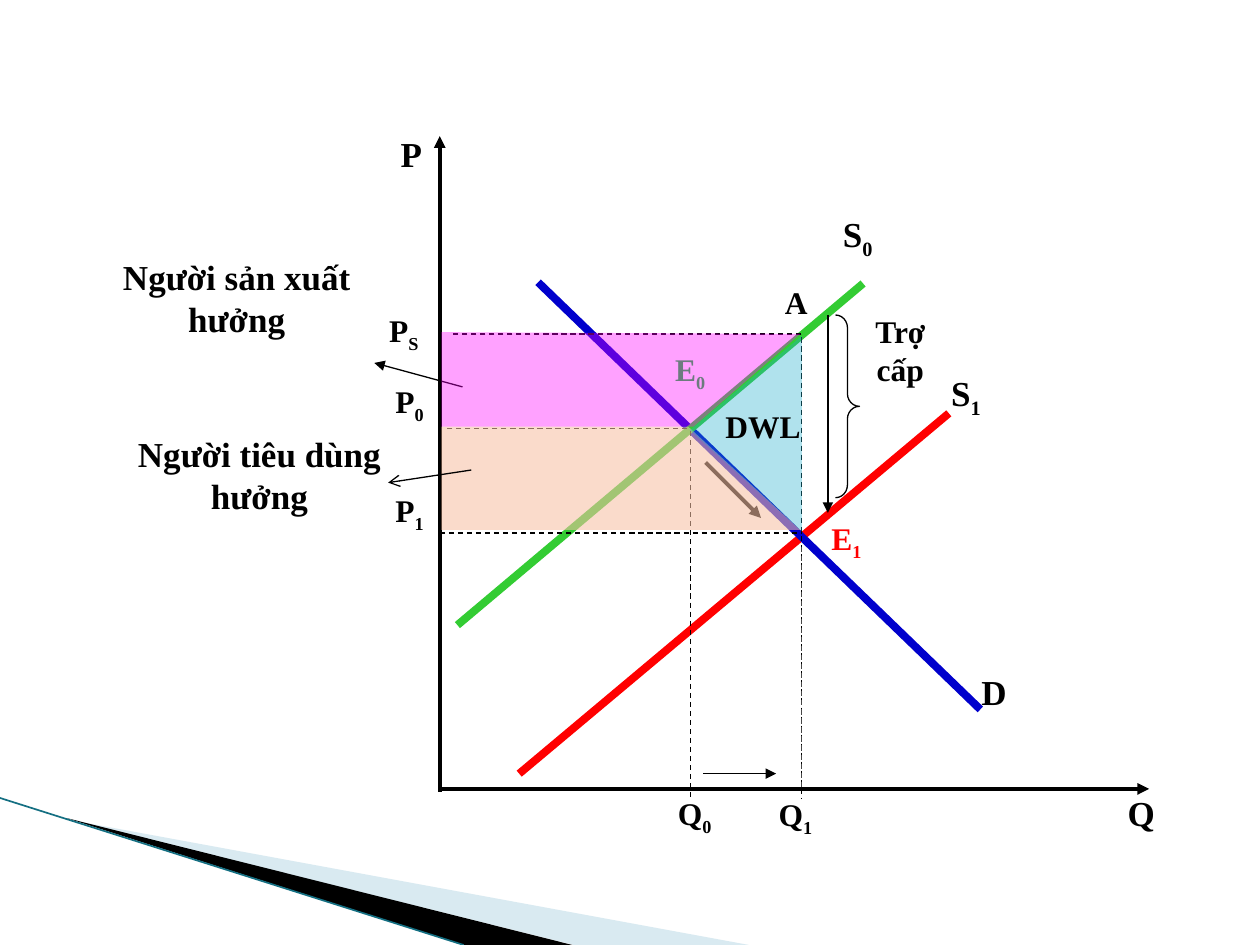
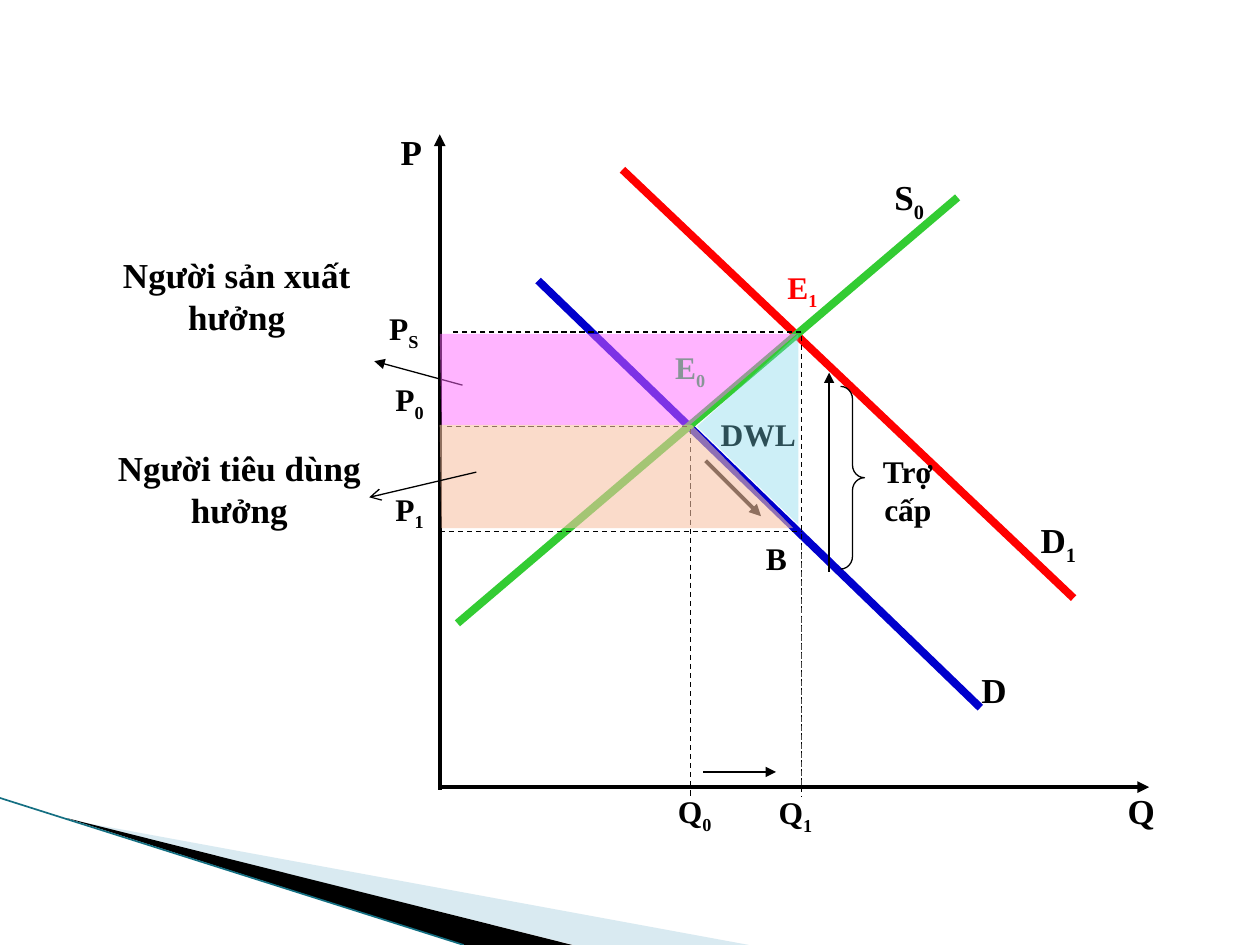
from dataclasses import dataclass

from lxml.etree import SubElement
from pptx import Presentation
from pptx.dml.color import RGBColor
from pptx.enum.dml import MSO_LINE_DASH_STYLE as Dash
from pptx.enum.shapes import MSO_CONNECTOR_TYPE as Connector, MSO_SHAPE as Shape
from pptx.enum.text import PP_ALIGN as Align
from pptx.oxml.ns import qn
from pptx.util import Pt

FONT = "Times New Roman"
BLACK = RGBColor(0, 0, 0)
GREY = RGBColor(0x46, 0x46, 0x46)
RED = RGBColor(0xFF, 0, 0)
BLUE = RGBColor(0, 0, 0xCC)
GREEN = RGBColor(0x33, 0xCC, 0x33)
LABEL_GREEN = RGBColor(0x17, 0xC3, 0x34)
MAGENTA = RGBColor(0xFF, 0, 0xFF)
PINK = RGBColor(0xFF, 0x66, 0xFF)
PEACH = RGBColor(0xF7, 0xC1, 0xA4)
CYAN = RGBColor(0x1F, 0xAE, 0xCD)
PALE_CYAN = RGBColor(0x78, 0xD6, 0xEA)
BAND_BLUE = RGBColor(0xA0, 0xCB, 0xDC)
BAND_TEAL = RGBColor(0x14, 0x6F, 0x82)

# Diagram measures, from the top of the price axis
AXIS_BOTTOM, AXIS_RIGHT = 373, 405.4
Q0, Q1 = 143.3, 206.6
PS, P0, P1 = 113, 167, 226.8


@dataclass
class Region:
    points: list
    color: RGBColor
    opacity: int


@dataclass
class Case:
    """What differs between subsidising producers and consumers."""
    top: float
    shifted_curve: tuple
    shifted_label: tuple
    new_balance: tuple
    old_supply_end: tuple
    old_supply_label: tuple
    corner_label: tuple
    subsidy_arrow: tuple
    brace: tuple
    subsidy_label: tuple
    subsidy_width: float
    consumer_label: tuple
    consumer_arrow: tuple
    loss_label: tuple
    loss_on_top: bool
    regions: list


PRODUCER_SUBSIDY = Case(
    top=77.8,
    shifted_curve=((290.9, 158.4), (45.4, 364.3)),
    shifted_label=("S", "1", 285.1, 131),
    new_balance=(216.7, 215.3),
    old_supply_end=(241.9, 84.2),
    old_supply_label=(223.2, 40.3),
    corner_label=("A", "", 190.1, 80.6),
    subsidy_arrow=((221.8, 102.2), (221.8, 215.3)),
    brace=(226.1, 102.2),
    subsidy_label=(229.7, 97.2),
    subsidy_width=67,
    consumer_label=(-191.5, 165.6),
    consumer_arrow=((18, 190.8), (-29.5, 198)),
    loss_label=(156.2, 151.2),
    loss_on_top=True,
    regions=[
        Region([(1, 166), (1, 225), (206, 225), (142, 166)], PEACH, 57),
        Region([(1, 112), (1, 166), (145, 166), (206, 113)], MAGENTA, 37),
        Region([(143, 168), (207, 226), (207, 114)], CYAN, 35),
    ],
)

CONSUMER_SUBSIDY = Case(
    top=76.8,
    shifted_curve=((362.2, 265), (104.4, 20.2)),
    shifted_label=("D", "1", 336.2, 216),
    new_balance=(191.5, 72.7),
    old_supply_end=(295.9, 36),
    old_supply_label=(252.7, 20.2),
    corner_label=("B", "", 179.3, 227.5),
    subsidy_arrow=((222.5, 249.8), (222.5, 136.1)),
    brace=(229, 144),
    subsidy_label=(240.5, 177.8),
    subsidy_width=54,
    consumer_label=(-203, 175),
    consumer_arrow=((20.9, 193), (-40.3, 207.4)),
    loss_label=(153.4, 157),
    loss_on_top=False,
    regions=[
        Region([(0, 114), (1, 166), (143, 166), (204, 114)], PINK, 49),
        Region([(0, 166), (1, 225), (202, 225), (144, 166)], PEACH, 58),
        Region([(147, 167), (205, 223), (205, 114)], PALE_CYAN, 37),
    ],
)


class Box:
    """An area of a slide that places its parts from its own top left corner."""

    def __init__(self, page, left, top):
        self.shapes = page.shapes
        self.left, self.top = left, top

    def at(self, x, y):
        return Pt(self.left + x), Pt(self.top + y)

    def line(self, start, end, color=BLACK, width=0.75, dashed=False, arrow=None):
        line = self.shapes.add_connector(Connector.STRAIGHT, *self.at(*start), *self.at(*end))
        line.line.color.rgb = color
        line.line.width = Pt(width)
        if dashed:
            line.line.dash_style = Dash.DASH
        properties = line._element.spPr
        if arrow:
            SubElement(properties.find(qn("a:ln")), qn("a:tailEnd"), type=arrow)
        SubElement(properties, qn("a:effectLst"))

    def area(self, points, color, opacity=100):
        first, *rest = [self.at(*point) for point in points]
        builder = self.shapes.build_freeform(*first, scale=1.0)
        builder.add_line_segments(rest, close=True)
        area = builder.convert_to_shape()
        area.shadow.inherit = False
        area.fill.solid()
        area.fill.fore_color.rgb = color
        area.line.fill.background()
        if opacity < 100:
            tint = area._element.spPr.find(".//" + qn("a:srgbClr"))
            SubElement(tint, qn("a:alpha"), val=str(opacity * 1000))

    def label(self, text, subscript, x, y, size=18, color=BLACK, width=48, align=Align.LEFT):
        frame = self.shapes.add_textbox(*self.at(x, y), Pt(width), Pt(45)).text_frame
        frame.word_wrap = True
        para = frame.paragraphs[0]
        para.text = text
        para.alignment = align
        if subscript:
            span = para.add_run()
            span.text = subscript
            span.font._element.set("baseline", "-25000")
        for span in para.runs:
            span.font.name = FONT
            span.font.size = Pt(size)
            span.font.bold = True
            span.font.color.rgb = color


def draw_corner_band(page):
    band = Box(page, 0, 456)
    band.area([(39.6, 12.5), (428, 84), (328, 84)], BAND_BLUE, 40)
    band.area([(38, 11.5), (327, 84), (265, 84)], BLACK)
    band.line((0, 0), (265, 84), BAND_TEAL, 0.95)


def draw_axes(box):
    box.line((0, AXIS_BOTTOM), (AXIS_RIGHT, AXIS_BOTTOM), width=2.25, arrow="triangle")
    box.line((0, AXIS_BOTTOM + 1.5), (0, 0), width=2.25, arrow="triangle")
    box.label("P", "", -29.5, -5.8, 20)
    box.label("Q", "", 385.9, 370.8, 20)
    for name, subscript, x, y in (
        ("P", "S", -36, 96.5),
        ("P", "0", -32.4, 136.8),
        ("P", "1", -32.4, 199.4),
        ("Q", "0", 128.9, 372.2),
        ("Q", "1", 186.5, 373),
    ):
        box.label(name, subscript, x, y)


def draw_guides(box):
    for start, end in (
        ((Q0 - 2, P0), (3, P0)),
        ((Q0, P0 + 1.5), (Q0, 378.7)),
        ((Q1, PS), (7.2, PS)),
        ((Q1, PS + 2), (Q1, 378.7)),
        ((0, P1), (Q1, P1)),
    ):
        box.line(start, end, dashed=True)
    box.line((Q1, 234.7), (Q1, AXIS_BOTTOM), GREY, dashed=True)
    box.line((150.5, 364.3), (192.2, 364.3), arrow="triangle")
    box.line((151.9, 186.5), (183.6, 218.2), width=2.25, arrow="triangle")


def draw_curves(box, case):
    for start, end, color in (
        (*case.shifted_curve, RED),
        ((56.2, 83.5), (308.9, 327.6), BLUE),
        (case.old_supply_end, (10.1, 279.4), GREEN),
    ):
        box.line(start, end, color, 4.5)
    box.label(*case.shifted_label, 20)
    box.label("D", "", 302.4, 301.7, 20)
    box.label("S", "0", *case.old_supply_label, 20)
    box.label("E", "0", 127.4, 118.8, color=LABEL_GREEN)
    box.label("E", "1", *case.new_balance, color=RED)
    box.label(*case.corner_label)


def draw_subsidy(box, case):
    box.line(*case.subsidy_arrow, arrow="triangle")
    brace = box.shapes.add_shape(Shape.RIGHT_BRACE, *box.at(*case.brace), Pt(13.7), Pt(104.4))
    brace.shadow.inherit = False
    brace.adjustments[0] = 0.53
    brace.fill.background()
    brace.line.color.rgb = BLACK
    brace.line.width = Pt(0.75)
    box.label("Trợ cấp", "", *case.subsidy_label, width=case.subsidy_width, align=Align.CENTER)


def draw_shares(box, case):
    """Shaded gains and loss, with the names of those who receive them."""
    box.line((13, 143.3), (-37.4, 129.6), arrow="triangle")

    def name_loss():
        box.label("DWL", "", *case.loss_label, width=66)

    if not case.loss_on_top:
        name_loss()
    for region in case.regions:
        box.area(region.points, region.color, region.opacity)
    if case.loss_on_top:
        name_loss()
    for text, place in (
        ("Người sản xuất hưởng", (-204.5, 64.8)),
        ("Người tiêu dùng hưởng", case.consumer_label),
    ):
        box.label(text, "", *place, 20, width=177, align=Align.CENTER)
    box.line(*case.consumer_arrow, arrow="arrow")


def add_diagram_slide(deck, case):
    page = deck.slides.add_slide(deck.slide_layouts[6])
    draw_corner_band(page)
    box = Box(page, 251.3, case.top)
    draw_curves(box, case)
    draw_guides(box)
    draw_axes(box)
    draw_subsidy(box, case)
    draw_shares(box, case)


def main():
    deck = Presentation()
    deck.slide_width, deck.slide_height = Pt(720), Pt(540)
    for case in (PRODUCER_SUBSIDY, CONSUMER_SUBSIDY):
        add_diagram_slide(deck, case)
    deck.save("out.pptx")


if __name__ == "__main__":
    main()
